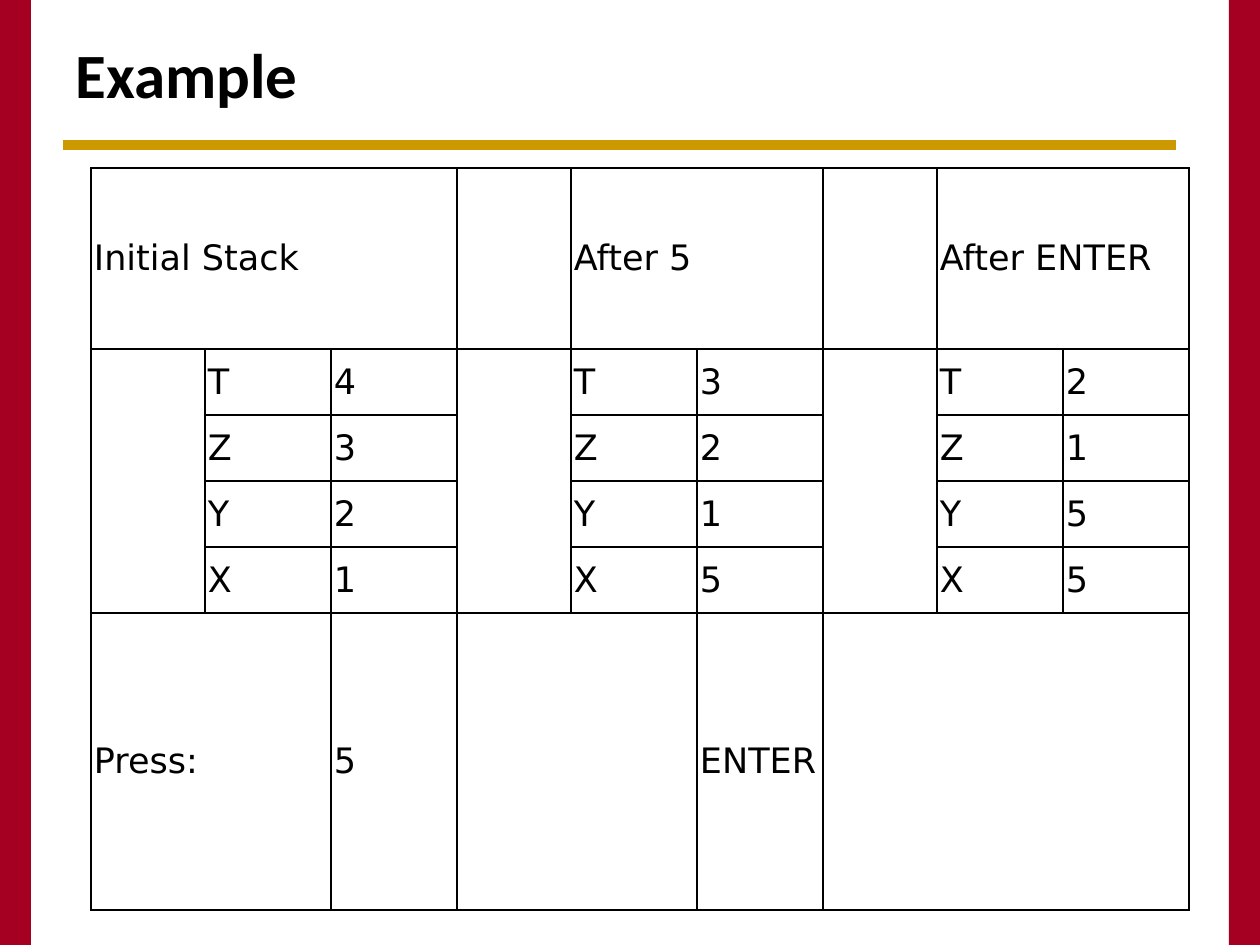
import pptx
import pptx.util
import pptx.dml.color
import pptx.enum.shapes
import pptx.enum.text
import pptx.oxml
import pptx.oxml.ns

HUES = {"red": "A50021", "gold": "CC9900", "ink": "000000"}
UNIT = 914400 / 126


def px(count):
    return pptx.util.Emu(round(count * UNIT))


def hue(name):
    return pptx.dml.color.RGBColor.from_string(HUES[name])


def apply(item, style):
    for key, value in style.items():
        setattr(item, key, value)


class Page:
    title_font = {"name": "Calibri", "size": pptx.util.Pt(36), "bold": True}
    cell_font = {"name": "DejaVu Sans", "size": pptx.util.Pt(20), "bold": False}
    cell_style = {
        "margin_left": px(3), "margin_right": px(3),
        "margin_top": px(3), "margin_bottom": px(3),
        "vertical_anchor": pptx.enum.text.MSO_ANCHOR.MIDDLE,
    }

    def __init__(self, deck):
        self.slide = deck.slides.add_slide(deck.slide_layouts[5])
        self.shapes = self.slide.shapes

    def label(self, frame, text, font):
        para = frame.paragraphs[0]
        para.alignment = pptx.enum.text.PP_ALIGN.LEFT
        run = para.add_run()
        run.text = text
        apply(run.font, font)
        run.font.color.rgb = hue("ink")

    def title(self, text, left, top, width, height):
        shape = self.shapes.title
        apply(shape, {"left": px(left), "top": px(top),
                      "width": px(width), "height": px(height)})
        apply(shape.text_frame, {
            "vertical_anchor": pptx.enum.text.MSO_ANCHOR.TOP,
            "margin_top": px(10), "word_wrap": True})
        self.label(shape.text_frame, text, self.title_font)

    def band(self, left, top, width, height, name):
        shape = self.shapes.add_shape(
            pptx.enum.shapes.MSO_SHAPE.RECTANGLE,
            px(left), px(top), px(width), px(height))
        shape.shadow.inherit = False
        shape.fill.solid()
        shape.fill.fore_color.rgb = hue(name)
        shape.line.fill.background()

    def rule(self, left, right, top, name, weight):
        line = self.shapes.add_connector(
            pptx.enum.shapes.MSO_CONNECTOR.STRAIGHT,
            px(left), px(top), px(right), px(top))
        line.line.color.rgb = hue(name)
        line.line.width = pptx.util.Pt(weight)
        line._element.spPr.append(pptx.oxml.parse_xml(
            "<a:effectLst %s/>" % pptx.oxml.ns.nsdecls("a")))

    def edge(self, cell):
        props = cell._tc.get_or_add_tcPr()
        for spot, side in enumerate(("lnL", "lnR", "lnT", "lnB")):
            props.insert(spot, pptx.oxml.parse_xml(
                '<a:%s %s w="12700"><a:solidFill><a:srgbClr val="%s"/>'
                "</a:solidFill></a:%s>"
                % (side, pptx.oxml.ns.nsdecls("a"), HUES["ink"], side)))

    def table(self, left, top, cols, rows, texts, spans):
        grid = self.shapes.add_table(
            len(rows), len(cols), px(left), px(top),
            px(sum(cols)), px(sum(rows))).table
        apply(grid, {"first_row": False, "horz_banding": False})
        for col, width in zip(grid.columns, cols):
            col.width = px(width)
        for row, height in zip(grid.rows, rows):
            row.height = px(height)
        for cell in grid.iter_cells():
            apply(cell, self.cell_style)
            cell.fill.background()
            self.edge(cell)
        for row, col, down, across in spans:
            grid.cell(row, col).merge(grid.cell(row + down - 1, col + across - 1))
        for (row, col), text in texts.items():
            self.label(grid.cell(row, col).text_frame, text, self.cell_font)


deck = pptx.Presentation()
apply(deck, {"slide_width": px(1260), "slide_height": px(945)})
page = Page(deck)
for left in (0, 1229):
    page.band(left, 0, 31, 945, "red")
page.rule(63, 1176, 145, "gold", 6)
page.title("Example", 63, 25, 1134, 113)

texts = {(0, 0): "Initial Stack", (0, 4): "After 5", (0, 7): "After ENTER",
         (5, 0): "Press:", (5, 2): "5", (5, 5): "ENTER"}
for step, stack in enumerate(("4321", "3215", "2155")):
    for level, (name, value) in enumerate(zip("TZYX", stack), 1):
        texts[level, 3 * step + 1] = name
        texts[level, 3 * step + 2] = value

spans = [(0, 0, 1, 3), (0, 4, 1, 2), (0, 7, 1, 2),
         (5, 0, 1, 2), (5, 3, 1, 2), (5, 6, 1, 3)]
spans += [(1, col, 4, 1) for col in (0, 3, 6)]
page.table(91, 168, [114, 126, 126] * 3, [181] + [66] * 4 + [297], texts, spans)

deck.save("out.pptx")
